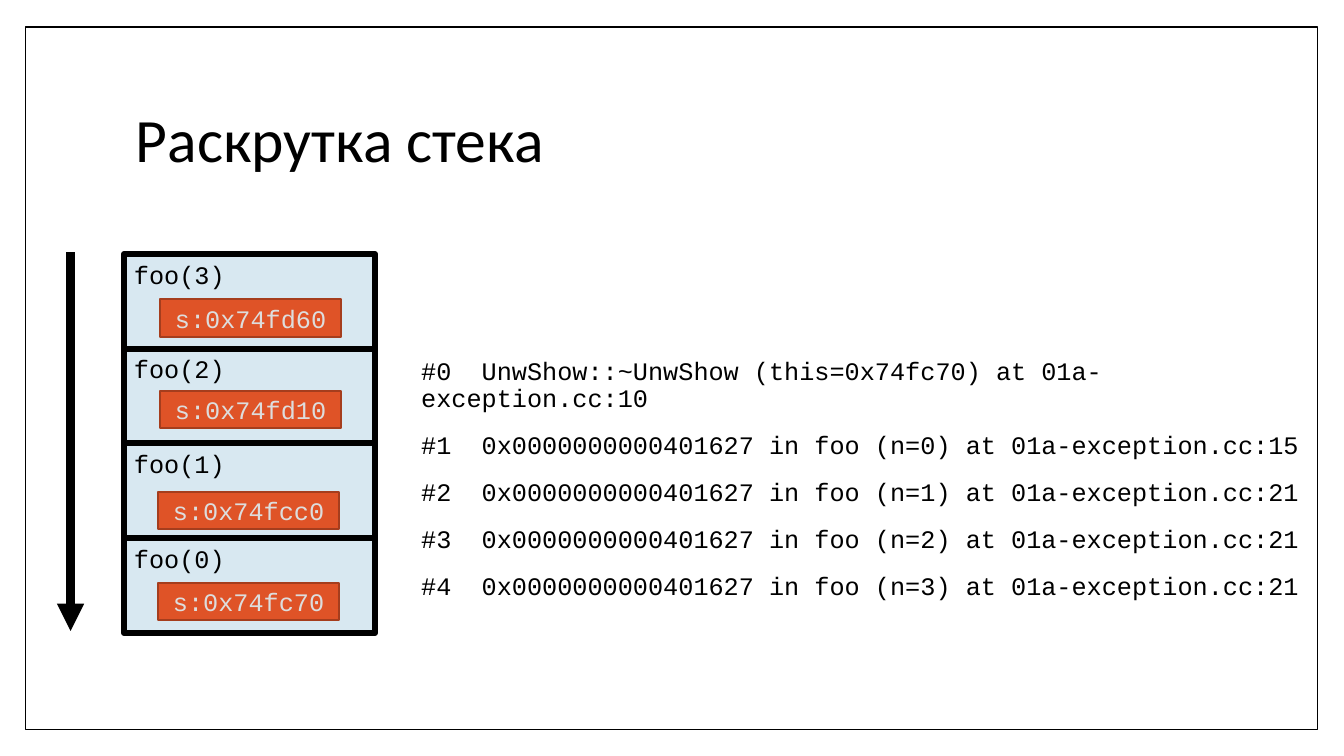
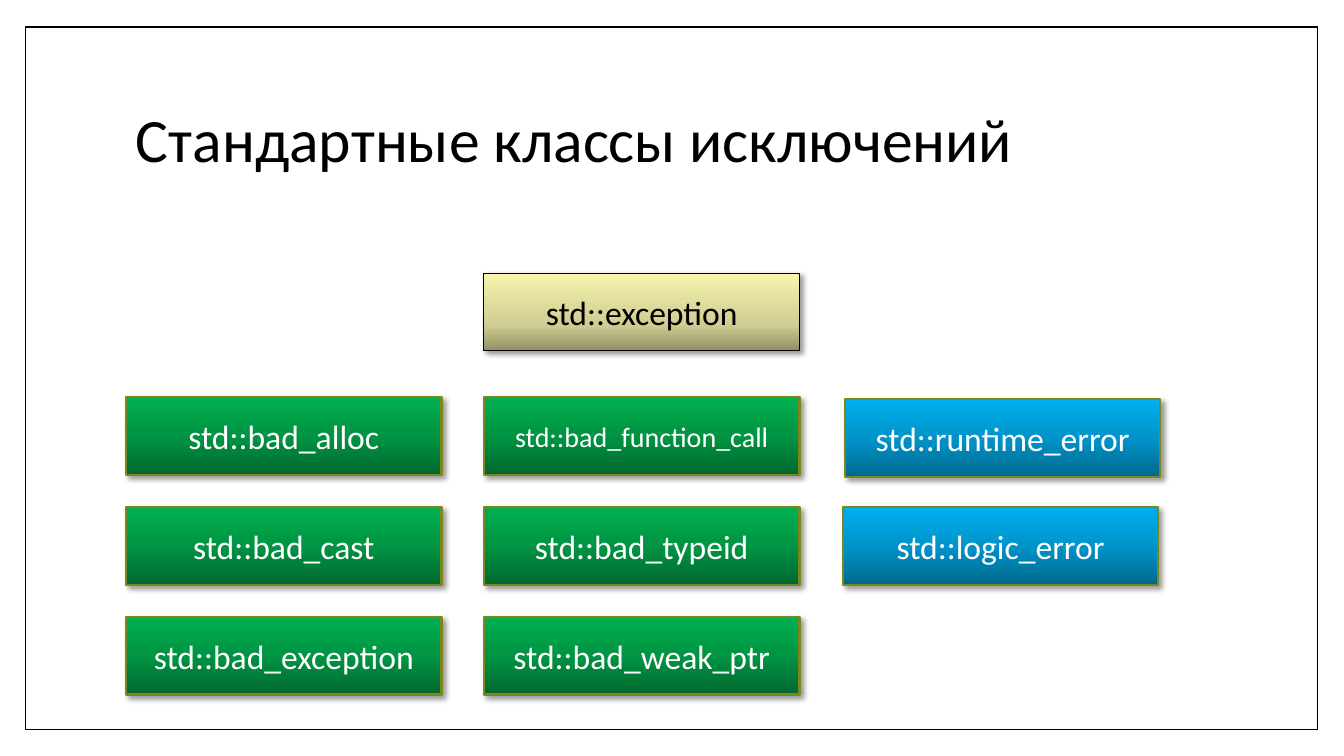
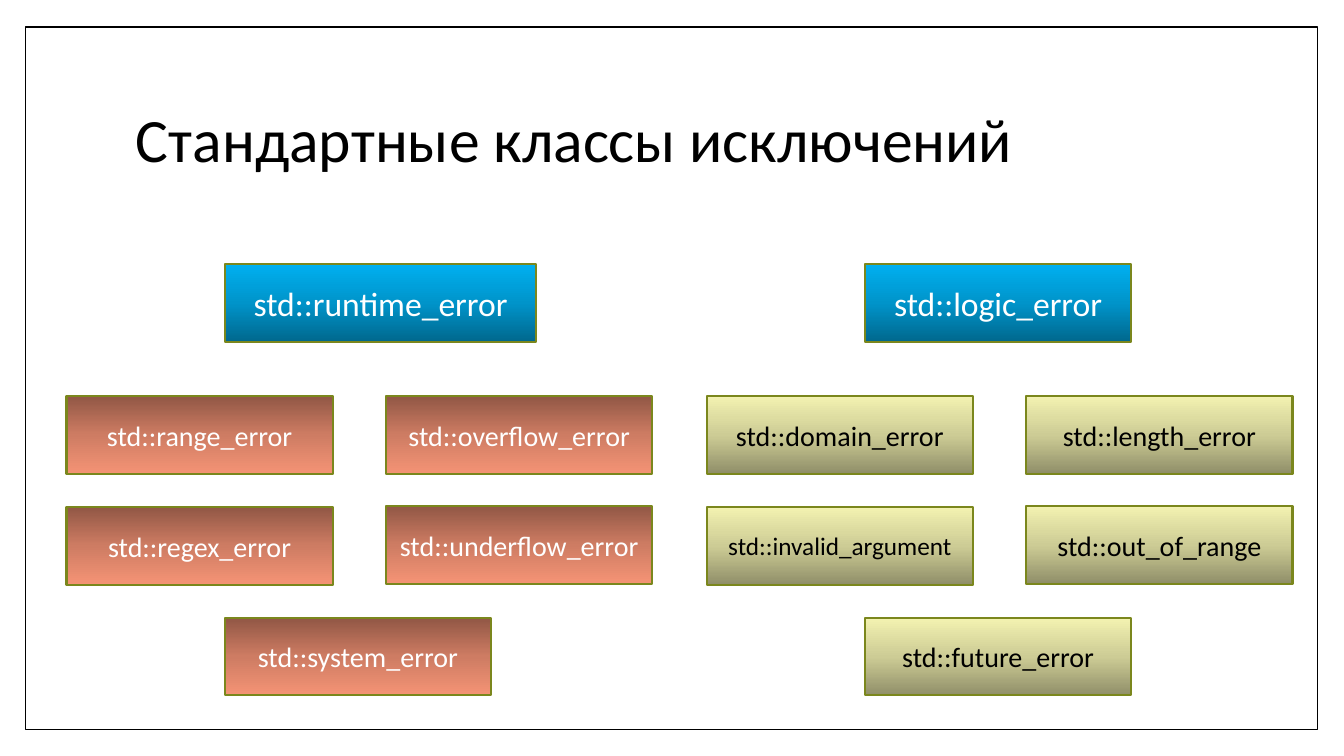
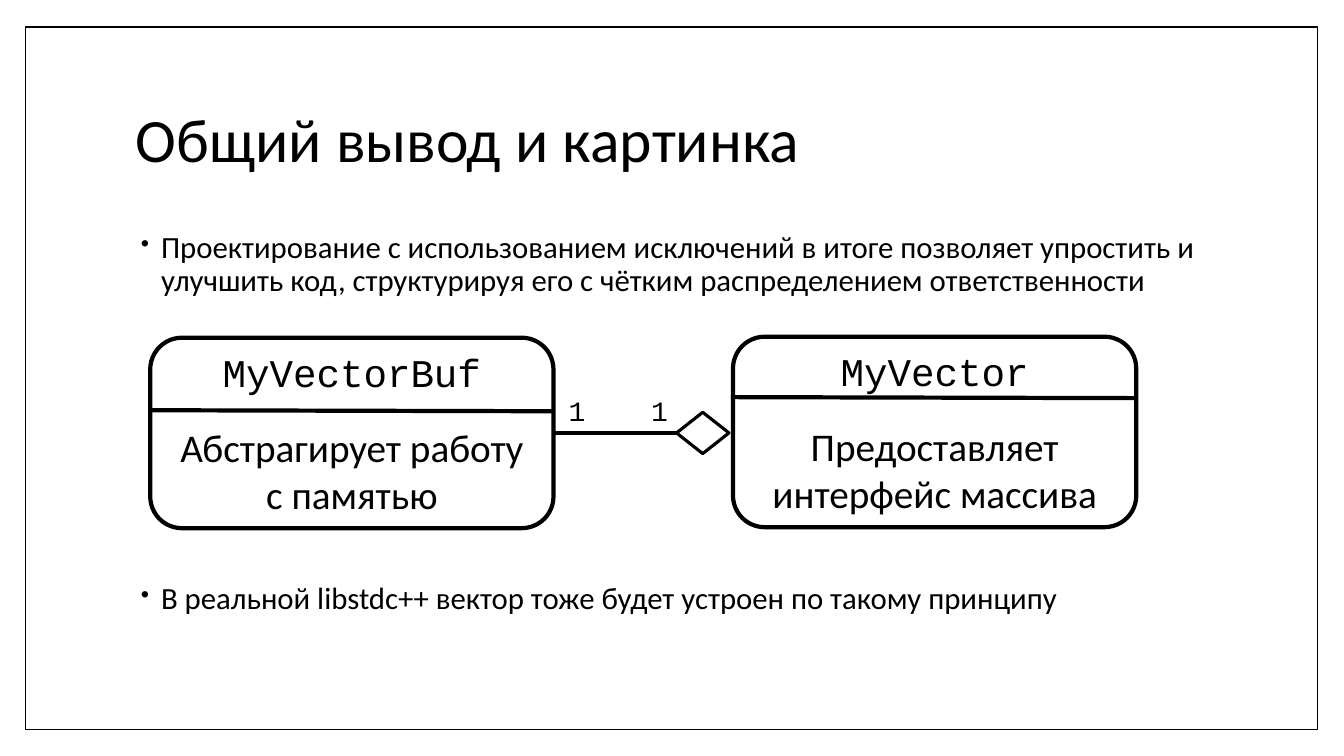
from collections import namedtuple

from lxml import etree
from pptx import Presentation
from pptx.dml.color import RGBColor
from pptx.enum.shapes import MSO_CONNECTOR, MSO_SHAPE
from pptx.enum.text import MSO_ANCHOR, PP_ALIGN
from pptx.oxml.ns import qn
from pptx.util import Inches, Pt

BLACK = RGBColor(0x00, 0x00, 0x00)
WHITE = RGBColor(0xFF, 0xFF, 0xFF)
PALE_BLUE = RGBColor(0xD8, 0xE8, 0xF1)
ORANGE = RGBColor(0xDF, 0x53, 0x27)
RUST = RGBColor(0xA5, 0x3D, 0x1D)
LIGHT_GRAY = RGBColor(0xDD, 0xDD, 0xDD)
OLIVE = RGBColor(0x7B, 0x87, 0x1D)

SANS = "Calibri"
MONO = "Courier New"

Gradient = namedtuple("Gradient", "stops angle text")
SAND = Gradient([(0, RGBColor(0x92, 0x91, 0x67)), (34, RGBColor(0xD0, 0xCE, 0x92)),
                 (100, RGBColor(0xF6, 0xF4, 0xAD))], 90, BLACK)
GREEN = Gradient([(0, RGBColor(0x00, 0x68, 0x2F)), (50, RGBColor(0x00, 0x94, 0x43)),
                  (100, RGBColor(0x00, 0xB0, 0x50))], 90, WHITE)
BLUE = Gradient([(0, RGBColor(0x00, 0x68, 0x8E)), (50, RGBColor(0x00, 0x94, 0xCA)),
                 (100, RGBColor(0x00, 0xB0, 0xF0))], 90, WHITE)
CORAL = Gradient([(0, RGBColor(0x91, 0x57, 0x45)), (50, RGBColor(0xCE, 0x7C, 0x63)),
                  (100, RGBColor(0xF4, 0x93, 0x75))], 270, WHITE)
KHAKI = Gradient([(0, RGBColor(0x90, 0x8F, 0x69)), (50, RGBColor(0xCD, 0xCC, 0x95)),
                  (100, RGBColor(0xF3, 0xF2, 0xB1))], 90, BLACK)


def add_xml(parent, tag, **attrs):
    return etree.SubElement(parent, qn(tag), {k: str(v) for k, v in attrs.items()})


class Deck:
    def __init__(self):
        self.prs = Presentation()
        self.prs.slide_width = Inches(13.33)
        self.prs.slide_height = Inches(7.5)
        self.s = None

    def new_slide(self, title):
        self.s = self.prs.slides.add_slide(self.prs.slide_layouts[6])
        self.shape(0.25, 0.27, 12.82, 6.97, WHITE, BLACK, 1)
        tf = self.textbox(1.25, 0.67, 10.8, 1.48, MSO_ANCHOR.MIDDLE)
        self.paragraph(tf, title, 44, spacing=0.9)

    def shape(self, x, y, w, h, fill, line, width, kind=MSO_SHAPE.RECTANGLE,
              anchor=MSO_ANCHOR.MIDDLE):
        sp = self.s.shapes.add_shape(kind, Inches(x), Inches(y), Inches(w), Inches(h))
        sp.shadow.inherit = False
        if fill is None:
            sp.fill.background()
        elif isinstance(fill, Gradient):
            self.gradient(sp, fill)
        else:
            sp.fill.solid()
            sp.fill.fore_color.rgb = fill
        sp.line.color.rgb = line
        sp.line.width = Pt(width)
        sp.text_frame.word_wrap = True
        sp.text_frame.vertical_anchor = anchor
        return sp

    def gradient(self, sp, grad):
        sp.fill.gradient()
        sp.fill.gradient_angle = grad.angle
        stops = sp._element.spPr.find(".//" + qn("a:gsLst"))
        for gs in list(stops):
            stops.remove(gs)
        for pos, color in grad.stops:
            gs = add_xml(stops, "a:gs", pos=pos * 1000)
            add_xml(gs, "a:srgbClr", val=color)

    def drop_shadow(self, sp):
        effects = sp._element.spPr.find(qn("a:effectLst"))
        shadow = add_xml(effects, "a:outerShdw", blurRad=Pt(4), dist=Pt(3),
                         dir=45 * 60000, rotWithShape=0)
        add_xml(add_xml(shadow, "a:srgbClr", val=BLACK), "a:alpha", val=40000)

    def textbox(self, x, y, w, h, anchor=MSO_ANCHOR.TOP):
        tb = self.s.shapes.add_textbox(Inches(x), Inches(y), Inches(w), Inches(h))
        tf = tb.text_frame
        tf.word_wrap = True
        tf.vertical_anchor = anchor
        return tf

    def paragraph(self, tf, text, size, font=SANS, color=BLACK, align=PP_ALIGN.LEFT,
                  spacing=None, before=0, bullet=False):
        first = tf.paragraphs[0]
        p = tf.add_paragraph() if first.runs else first
        p.alignment = align
        if spacing:
            p.line_spacing = spacing
        if before:
            p.space_before = Pt(before)
        if bullet:
            pPr = p._p.get_or_add_pPr()
            pPr.set("marL", str(Inches(0.25)))
            pPr.set("indent", str(Inches(-0.2)))
            add_xml(add_xml(pPr, "a:buClr"), "a:srgbClr", val=BLACK)
            add_xml(pPr, "a:buSzPct", val=80000)
            add_xml(pPr, "a:buChar", char="•")
        r = p.add_run()
        r.text = text
        r.font.size = Pt(size)
        r.font.name = font
        r.font.color.rgb = color

    def line(self, x1, y1, x2, y2, width, arrow=False):
        cn = self.s.shapes.add_connector(MSO_CONNECTOR.STRAIGHT, Inches(x1), Inches(y1),
                                         Inches(x2), Inches(y2))
        cn.line.color.rgb = BLACK
        cn.line.width = Pt(width)
        if arrow:
            add_xml(cn.line._get_or_add_ln(), "a:tailEnd", type="triangle")
        add_xml(cn._element.spPr, "a:effectLst")
        return cn

    def class_box(self, text, x, y, w, grad, size=24, line=OLIVE, width=1.5, shadow=False):
        sp = self.shape(x, y, w, 0.77, grad, line, width)
        if shadow:
            self.drop_shadow(sp)
        self.paragraph(sp.text_frame, text, size, color=grad.text, align=PP_ALIGN.CENTER)

    def stack_frame(self, y, call, chip_x, chip_y, address):
        sp = self.shape(1.23, y, 2.49, 0.94, PALE_BLUE, BLACK, 4.25, anchor=MSO_ANCHOR.TOP)
        self.paragraph(sp.text_frame, call, 18, MONO)
        chip = self.shape(chip_x, chip_y, 1.79, 0.37, ORANGE, RUST, 1.5)
        self.paragraph(chip.text_frame, address, 18, MONO, LIGHT_GRAY, PP_ALIGN.CENTER)

    def uml_class(self, x, y, name, duty, line_x, line_y):
        sp = self.shape(x, y, 4, 1.89, None, BLACK, 3, MSO_SHAPE.ROUNDED_RECTANGLE)
        self.paragraph(sp.text_frame, name, 28, MONO, align=PP_ALIGN.CENTER)
        self.paragraph(sp.text_frame, duty, 28, align=PP_ALIGN.CENTER, before=19.5)
        self.line(line_x, line_y, line_x + 4, line_y + 0.01, 3)
        return sp


def stack_slide(deck):
    deck.new_slide("Раскрутка стека")
    frames = [("foo(3)", 1.59, 2.97, "s:0x74fd60"), ("foo(2)", 1.59, 3.88, "s:0x74fd10"),
              ("foo(1)", 1.57, 4.88, "s:0x74fсс0"), ("foo(0)", 1.57, 5.78, "s:0x74fс70")]
    for i, frame in enumerate(frames):
        deck.stack_frame(2.52 + 0.94 * i, *frame)
    deck.line(0.7, 2.5, 0.7, 6.26, 6.5, arrow=True)
    trace = ["#0  UnwShow::~UnwShow (this=0x74fc70) at 01a-exception.cc:10",
             "#1  0x0000000000401627 in foo (n=0) at 01a-exception.cc:15",
             "#2  0x0000000000401627 in foo (n=1) at 01a-exception.cc:21",
             "#3  0x0000000000401627 in foo (n=2) at 01a-exception.cc:21",
             "#4  0x0000000000401627 in foo (n=3) at 01a-exception.cc:21"]
    tf = deck.textbox(4.08, 3.51, 9, 2.22)
    for i, text in enumerate(trace):
        deck.paragraph(tf, text, 18, MONO, spacing=0.9, before=14 if i else 0)


def exception_slide(deck):
    deck.new_slide("Стандартные классы исключений")
    deck.class_box("std::exception", 4.8, 2.71, 3.13, SAND, line=BLACK, width=0.79,
                   shadow=True)
    rows = [[("std::bad_alloc", 24), ("std::bad_function_call", 20)],
            [("std::bad_cast", 24), ("std::bad_typeid", 24)],
            [("std::bad_exception", 24), ("std::bad_weak_ptr", 24)]]
    for i, row in enumerate(rows):
        for j, (text, size) in enumerate(row):
            deck.class_box(text, 1.25 + 3.55 * j, 3.94 + 1.09 * i, 3.13, GREEN, size,
                           shadow=True)
    for text, x, y in [("std::runtime_error", 8.38, 3.96), ("std::logic_error", 8.36, 5.03)]:
        deck.class_box(text, x, y, 3.13, BLUE, shadow=True)


def error_slide(deck):
    deck.new_slide("Стандартные классы исключений")
    families = [
        (0.66, "std::runtime_error", 3.09, CORAL,
         [("std::range_error", 20), ("std::overflow_error", 20), ("std::regex_error", 20),
          ("std::underflow_error", 20), ("std::system_error", 20)]),
        (7.01, "std::logic_error", 2.64, KHAKI,
         [("std::domain_error", 20), ("std::length_error", 20), ("std::invalid_argument", 18),
          ("std::out_of_range", 20), ("std::future_error", 20)])]
    places = [(0, 3.93), (3.17, 3.93), (0, 5.03), (3.17, 5.02), (1.57, 6.13)]
    for left, base, width, grad, children in families:
        deck.class_box(base, left + 1.57, 2.62, width, BLUE)
        for (dx, y), (text, size) in zip(places, children):
            deck.class_box(text, left + dx, y, 2.64, grad, size)


def summary_slide(deck):
    deck.new_slide("Общий вывод и картинка")
    tf = deck.textbox(1.25, 2.25, 10.8, 4.42)
    deck.paragraph(tf, "Проектирование с использованием исключений в итоге позволяет "
                   "упростить и улучшить код, структурируя его с чётким распределением "
                   "ответственности", 22, spacing=0.9, bullet=True)
    deck.paragraph(tf, "В реальной libstdc++ вектор тоже будет устроен по такому принципу",
                   22, spacing=0.9, before=203, bullet=True)
    buf = deck.uml_class(1.49, 3.35, "MyVectorBuf", "Абстрагирует работу с памятью",
                         1.49, 4.07)
    deck.uml_class(7.27, 3.34, "MyVector", "Предоставляет интерфейс массива", 7.25, 3.94)
    diamond = deck.shape(6.71, 4.09, 0.52, 0.41, None, BLACK, 2.25, MSO_SHAPE.DIAMOND)
    link = deck.line(6.71, 4.29, 5.49, 4.29, 3)
    link.begin_connect(diamond, 1)
    link.end_connect(buf, 3)
    for x in (5.54, 6.36):
        deck.paragraph(deck.textbox(x, 3.85, 0.55, 0.44), "1", 20, MONO)


def main():
    deck = Deck()
    stack_slide(deck)
    exception_slide(deck)
    error_slide(deck)
    summary_slide(deck)
    deck.prs.save("out.pptx")


if __name__ == "__main__":
    main()
